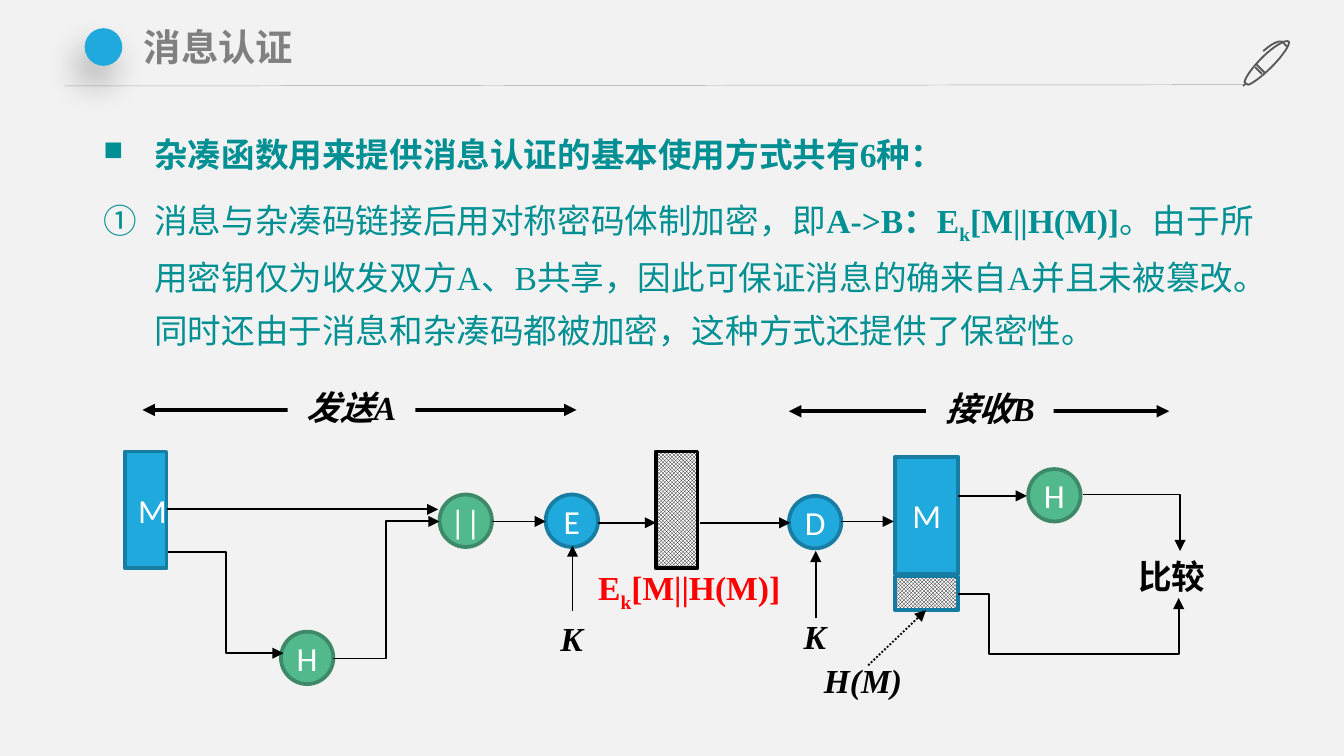
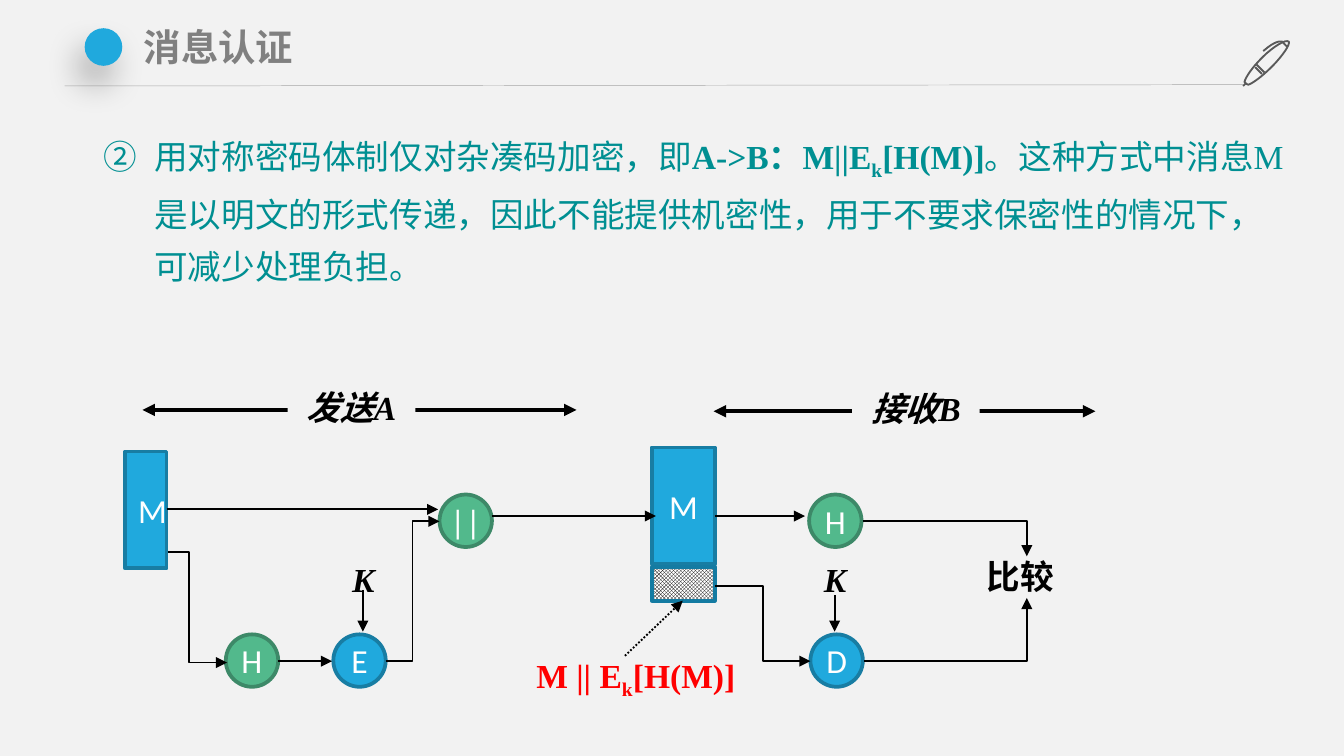
import lxml.etree
import pptx
import pptx.dml.color
import pptx.enum.dml
import pptx.enum.shapes
import pptx.enum.text
import pptx.oxml.ns
import pptx.util

Inches, Pt, qn = pptx.util.Inches, pptx.util.Pt, pptx.oxml.ns.qn
SHAPE = pptx.enum.shapes.MSO_SHAPE
CONNECTOR = pptx.enum.shapes.MSO_CONNECTOR
ALIGN = pptx.enum.text.PP_ALIGN
ANCHOR = pptx.enum.text.MSO_ANCHOR
GROW = pptx.enum.text.MSO_AUTO_SIZE.SHAPE_TO_FIT_TEXT

BACK, TEAL, BLACK, RED, WHITE = "F2F2F2", "008F92", "000000", "FF0000", "FFFFFF"
BLUE, GREEN = ("20A9DD", "187DA3"), ("52B98C", "3D8968")
HATCH_EDGE = "147BA2"
SERIF, SANS, LABEL = "Times New Roman", "Noto Sans CJK SC", "Calibri"
NODE, BLOCK_H, TAG_H = 0.39, 0.87, 0.25

BODY = {"name": SERIF, "size": Pt(18), "bold": False, "color": TEAL}
STRONG = {**BODY, "bold": True}
STRONG_SUB = {**STRONG, "baseline": "-25000"}
FORMULA = {**STRONG, "color": RED}
FORMULA_SUB = {**FORMULA, "baseline": "-25000"}
KEY = {**STRONG, "italic": True, "color": BLACK}
COMPARE = {**STRONG, "name": SANS, "color": BLACK}
TITLE = {"name": SANS, "size": Pt(20), "bold": True, "color": "808080"}
NODE_TEXT = {"name": LABEL, "size": Pt(18), "color": WHITE}

PEN_STROKES = [
    [(9.39, 0.55), (9.34, 0.5)],
    [(9.35, 0.48), (9.41, 0.54)],
    [(9.27, 0.62), (9.25, 0.64)],
]
PEN_CURVES = [
    [(9.59, 0.31), (9.57, 0.29), (9.48, 0.34), (9.39, 0.43),
     (9.32, 0.5), (9.27, 0.57), (9.26, 0.61),
     (9.27, 0.62), (9.28, 0.63), (9.29, 0.63),
     (9.32, 0.62), (9.39, 0.57), (9.46, 0.5),
     (9.55, 0.41), (9.6, 0.33), (9.59, 0.31)],
    [(9.58, 0.35), (9.57, 0.34), (9.56, 0.33), (9.54, 0.31),
     (9.54, 0.31), (9.5, 0.29), (9.4, 0.38)],
]


def rgb(value):
    """Turn a hex string into a colour."""
    return pptx.dml.color.RGBColor.from_string(value)


def sub(parent, tag, **attrs):
    """Append a child element with attributes."""
    return lxml.etree.SubElement(parent, qn(tag), attrs)


def assign(obj, values):
    """Set attributes from a dict of values."""
    for name, value in values.items():
        setattr(obj, name, value)


def add_run(p, text, fmt):
    """Add a formatted run to a paragraph."""
    r = p.add_run()
    r.text = text
    assign(r.font, {k: v for k, v in fmt.items() if k not in ("color", "baseline")})
    r.font.color.rgb = rgb(fmt["color"])
    rpr = r._r.get_or_add_rPr()
    if "baseline" in fmt:
        rpr.set("baseline", fmt["baseline"])
    sub(rpr, "a:ea", typeface=SANS)


def set_margins(tf, x, y):
    """Set the horizontal and vertical insets of a text frame."""
    assign(tf, {"margin_left": Inches(x), "margin_right": Inches(x),
                "margin_top": Inches(y), "margin_bottom": Inches(y)})


def add_text(s, box, runs, margins=(0, 0)):
    """Add a one-paragraph text box."""
    tf = s.shapes.add_textbox(*map(Inches, box)).text_frame
    assign(tf, {"word_wrap": True, "auto_size": GROW})
    set_margins(tf, *margins)
    for text, fmt in runs:
        add_run(tf.paragraphs[0], text, fmt)


def add_body(s, height, items):
    """Add the bulleted explanation; each item is (bullet tag, attributes, runs)."""
    tf = s.shapes.add_textbox(*map(Inches, (0.67, 0.86, 8.98, height))).text_frame
    assign(tf, {"word_wrap": True, "auto_size": GROW})
    for i, (tag, attrs, runs) in enumerate(items):
        p = tf.add_paragraph() if i else tf.paragraphs[0]
        assign(p, {"line_spacing": 1.3, "space_before": Pt(3 if i else 0),
                   "space_after": Pt(3)})
        ppr = p._p.get_or_add_pPr()
        ppr.set("marL", str(Inches(0.38)))
        ppr.set("indent", str(-Inches(0.38)))
        if tag == "a:buChar":
            sub(ppr, "a:buSzPct", val="80000")
        sub(ppr, tag, **attrs)
        for text, fmt in runs:
            add_run(p, text, fmt)


def add_box(s, kind, box, fill, edge=None, text="", fmt=NODE_TEXT):
    """Add a preset shape; without a fill colour it is hatched."""
    sp = s.shapes.add_shape(kind, *map(Inches, box))
    sp.shadow.inherit = False
    if fill:
        sp.fill.solid()
        sp.fill.fore_color.rgb = rgb(fill)
    else:
        sp.fill.patterned()
        sp.fill.pattern = pptx.enum.dml.MSO_PATTERN.SMALL_CHECKER_BOARD
        sp.fill.fore_color.rgb = rgb(BLACK)
        sp.fill.back_color.rgb = rgb(WHITE)
    if edge:
        sp.line.color.rgb = rgb(edge)
        sp.line.width = Pt(2)
    else:
        sp.line.fill.background()
    if text:
        tf = sp.text_frame
        tf.vertical_anchor = ANCHOR.MIDDLE
        tf.paragraphs[0].alignment = ALIGN.CENTER
        add_run(tf.paragraphs[0], text, fmt)
    return sp


def add_node(s, x, y, text, colors):
    """Add a round operation node."""
    sp = add_box(s, SHAPE.OVAL, (x, y, NODE, NODE), *colors, text)
    set_margins(sp.text_frame, 0, 0)


def add_line(s, start, end, color=BLACK, width=1, ends=("tail",), dash=None,
             bend=None, adj=()):
    """Add a straight or bent connector with arrowheads."""
    kind = CONNECTOR.ELBOW if bend else CONNECTOR.STRAIGHT
    sp = s.shapes.add_connector(kind, *map(Inches, start + end))
    sp.line.color.rgb = rgb(color)
    sp.line.width = Pt(width)
    if dash:
        sp.line.dash_style = dash
    ln = sp.line._get_or_add_ln()
    for name in ends:
        sub(ln, f"a:{name}End", type="triangle")
    sppr = sp._element.spPr
    sub(sppr, "a:effectLst")
    if bend:
        geom = sppr.find(qn("a:prstGeom"))
        geom.set("prst", f"bentConnector{bend}")
        guides = geom.find(qn("a:avLst"))
        if guides is None:
            guides = sub(geom, "a:avLst")
        for i, ratio in enumerate(adj, 1):
            sub(guides, "a:gd", name=f"adj{i}", fmla=f"val {round(ratio * 100000)}")


def add_span(s, left, right, y, label_x, label):
    """Add a double-headed span with its label in the middle."""
    add_line(s, (left, y), (right, y), width=2.25, ends=("head", "tail"))
    sp = add_box(s, SHAPE.RECTANGLE, (label_x, y - 0.17, 0.95, 0.3), BACK,
                 text=label, fmt=KEY)
    assign(sp.text_frame, {"auto_size": GROW, "vertical_anchor": ANCHOR.TOP})
    set_margins(sp.text_frame, 0, 0)


def curve_points(points, steps=8):
    """Sample a chain of cubic curves."""
    result = [points[0]]
    for i in range(0, len(points) - 1, 3):
        for n in range(1, steps + 1):
            t = n / steps
            weights = ((1 - t) ** 3, 3 * t * (1 - t) ** 2, 3 * t * t * (1 - t), t ** 3)
            result.append(tuple(sum(w * pt[axis] for w, pt in zip(weights, points[i:i + 4]))
                                for axis in (0, 1)))
    return result


def add_pen(s):
    """Add the outlined pen at the end of the title rule."""
    outlines = PEN_STROKES + [curve_points(c) for c in PEN_CURVES]
    outlines = [[(Inches(x), Inches(y)) for x, y in o] for o in outlines]
    fb = s.shapes.build_freeform(*outlines[0][0])
    for i, points in enumerate(outlines):
        if i:
            fb.move_to(*points[0])
        fb.add_line_segments(points[1:], close=False)
    sp = fb.convert_to_shape()
    sp.shadow.inherit = False
    sp.fill.background()
    sp.line.color.rgb = rgb("595959")
    sp.line.width = Pt(1)


def add_slide(prs):
    """Add a slide with the shared header."""
    s = prs.slides.add_slide(prs.slide_layouts[6])
    s.background.fill.solid()
    s.background.fill.fore_color.rgb = rgb(BACK)
    add_line(s, (0.48, 0.64), (9.25, 0.63), "A6A6A6", 0.25, ends=())
    add_pen(s)
    dot = add_box(s, SHAPE.OVAL, (0.63, 0.21, 0.28, 0.28), BLUE[0])
    effects = dot._element.spPr.find(qn("a:effectLst"))
    shadow = sub(effects, "a:outerShdw", blurRad=str(Pt(18)), dist=str(Pt(11)),
                 dir=str(113 * 60000), algn="t", rotWithShape="0")
    sub(sub(shadow, "a:srgbClr", val=BLACK), "a:alpha", val="27000")
    add_text(s, (0.98, 0.14, 8.27, 0.43), [("消息认证", TITLE)], (0.09, 0.04))
    return s


def add_sender(s):
    """Add the parts of sender A that both schemes share."""
    add_span(s, 1.06, 4.29, 3.05, 2.14, "发送A")
    add_box(s, SHAPE.RECTANGLE, (0.93, 3.36, 0.31, BLOCK_H), *BLUE, "M")
    add_node(s, 3.27, 3.68, "||", GREEN)
    add_line(s, (1.24, 3.79), (3.26, 3.79))


def add_received(s, x, y):
    """Add the received message, its hatched tag and the dotted pointer."""
    add_box(s, SHAPE.RECTANGLE, (x, y, 0.47, BLOCK_H), *BLUE, "M")
    add_box(s, SHAPE.RECTANGLE, (x, y + 0.89, 0.47, TAG_H), None, HATCH_EDGE)
    add_line(s, (x - 0.2, y + 1.55), (x + 0.23, y + 1.14),
             dash=pptx.enum.dml.MSO_LINE.ROUND_DOT)


def add_keys(s, *places):
    """Add the key letters."""
    for x, y in places:
        add_text(s, (x, y, 0.25, 0.3), [("K", KEY)])


def encrypt_all(prs):
    """Build the slide where message and hash are both encrypted."""
    s = add_slide(prs)
    add_body(s, 1.73, [
        ("a:buChar", {"char": "■"},
         [("杂凑函数用来提供消息认证的基本使用方式共有6种：", STRONG)]),
        ("a:buAutoNum", {"type": "circleNumDbPlain"},
         [("消息与杂凑码链接后用对称密码体制加密，即", BODY), ("A->B：E", STRONG),
          ("k", STRONG_SUB), ("[M||H(M)]", STRONG),
          ("。由于所用密钥仅为收发双方A、B共享，因此可保证消息的确来自A并且未被篡改。"
           "同时还由于消息和杂凑码都被加密，这种方式还提供了保密性。", BODY)])])
    add_sender(s)
    add_span(s, 5.87, 8.7, 3.06, 6.89, "接收B")
    for x, y, text, colors in [(2.09, 4.7, "H", GREEN), (4.06, 3.68, "E", BLUE),
                               (5.87, 3.69, "D", BLUE), (7.65, 3.49, "H", GREEN)]:
        add_node(s, x, y, text, colors)
    add_box(s, SHAPE.RECTANGLE, (4.88, 3.36, 0.31, BLOCK_H), None, BLACK)
    add_received(s, 6.66, 3.4)
    add_keys(s, (4.17, 4.6), (5.98, 4.58))
    add_text(s, (8.47, 4.14, 0.61, 0.3), [("比较", COMPARE)])
    add_text(s, (4.45, 4.22, 1.52, 0.3),
             [("E", FORMULA), ("k", FORMULA_SUB), ("[M||H(M)]", FORMULA)])
    add_text(s, (6.13, 4.91, 0.68, 0.3), [("H(M)", KEY)])
    for start, end in [((3.66, 3.88), (4.06, 3.88)), ((4.45, 3.89), (4.88, 3.89)),
                       ((5.21, 3.89), (5.88, 3.89)), ((6.26, 3.88), (6.65, 3.88)),
                       ((7.13, 3.69), (7.64, 3.69)), ((4.26, 4.55), (4.26, 4.06)),
                       ((6.07, 4.6), (6.07, 4.1))]:
        add_line(s, start, end)
    add_line(s, (1.25, 4.11), (2.11, 4.86), bend=3, adj=(0.5,))
    add_line(s, (2.48, 4.9), (3.27, 3.88), bend=3, adj=(0.5,))
    add_line(s, (7.13, 4.42), (8.77, 4.45), bend=4, adj=(0.14, 15))
    add_line(s, (8.06, 3.68), (8.78, 4.1), bend=2)


def encrypt_hash(prs):
    """Build the slide where only the hash is encrypted."""
    s = add_slide(prs)
    add_body(s, 1.25, [
        ("a:buAutoNum", {"type": "circleNumDbPlain", "startAt": "2"},
         [("用对称密码体制仅对杂凑码加密，即", BODY), ("A->B：M||E", STRONG),
          ("k", STRONG_SUB), ("[H(M)]", STRONG),
          ("。这种方式中消息M是以明文的形式传递，因此不能提供机密性，"
           "用于不要求保密性的情况下，可减少处理负担。", BODY)])])
    add_sender(s)
    add_span(s, 5.31, 8.15, 3.06, 6.34, "接收B")
    for x, y, text, colors in [(1.68, 4.72, "H", GREEN), (2.48, 4.72, "E", BLUE),
                               (6.03, 4.72, "D", BLUE), (6.02, 3.68, "H", GREEN)]:
        add_node(s, x, y, text, colors)
    add_received(s, 4.85, 3.33)
    add_keys(s, (2.62, 4.16), (6.13, 4.16))
    add_text(s, (7.34, 4.14, 0.61, 0.3), [("比较", COMPARE)])
    add_text(s, (3.99, 4.87, 1.52, 0.3),
             [("M || E", FORMULA), ("k", FORMULA_SUB), ("[H(M)]", FORMULA)])
    for start, end in [((3.66, 3.84), (4.88, 3.84)), ((5.32, 3.84), (5.99, 3.84)),
                       ((2.7, 4.39), (2.7, 4.7)), ((2.07, 4.92), (2.47, 4.92)),
                       ((6.21, 4.43), (6.21, 4.7))]:
        add_line(s, start, end)
    add_line(s, (1.25, 4.11), (1.69, 4.93), bend=3, adj=(0.36,))
    add_line(s, (2.87, 4.92), (3.27, 3.88), bend=3, adj=(0.5,))
    add_line(s, (5.32, 4.36), (6.03, 4.92), bend=3, adj=(0.5,))
    add_line(s, (6.43, 4.92), (7.64, 4.45), bend=2)
    add_line(s, (6.42, 3.88), (7.64, 4.14), bend=2)


def main():
    """Build and save the presentation."""
    prs = pptx.Presentation()
    prs.slide_width, prs.slide_height = Inches(10), Inches(10 * 9 / 16)
    encrypt_all(prs)
    encrypt_hash(prs)
    prs.save("out.pptx")


if __name__ == "__main__":
    main()
